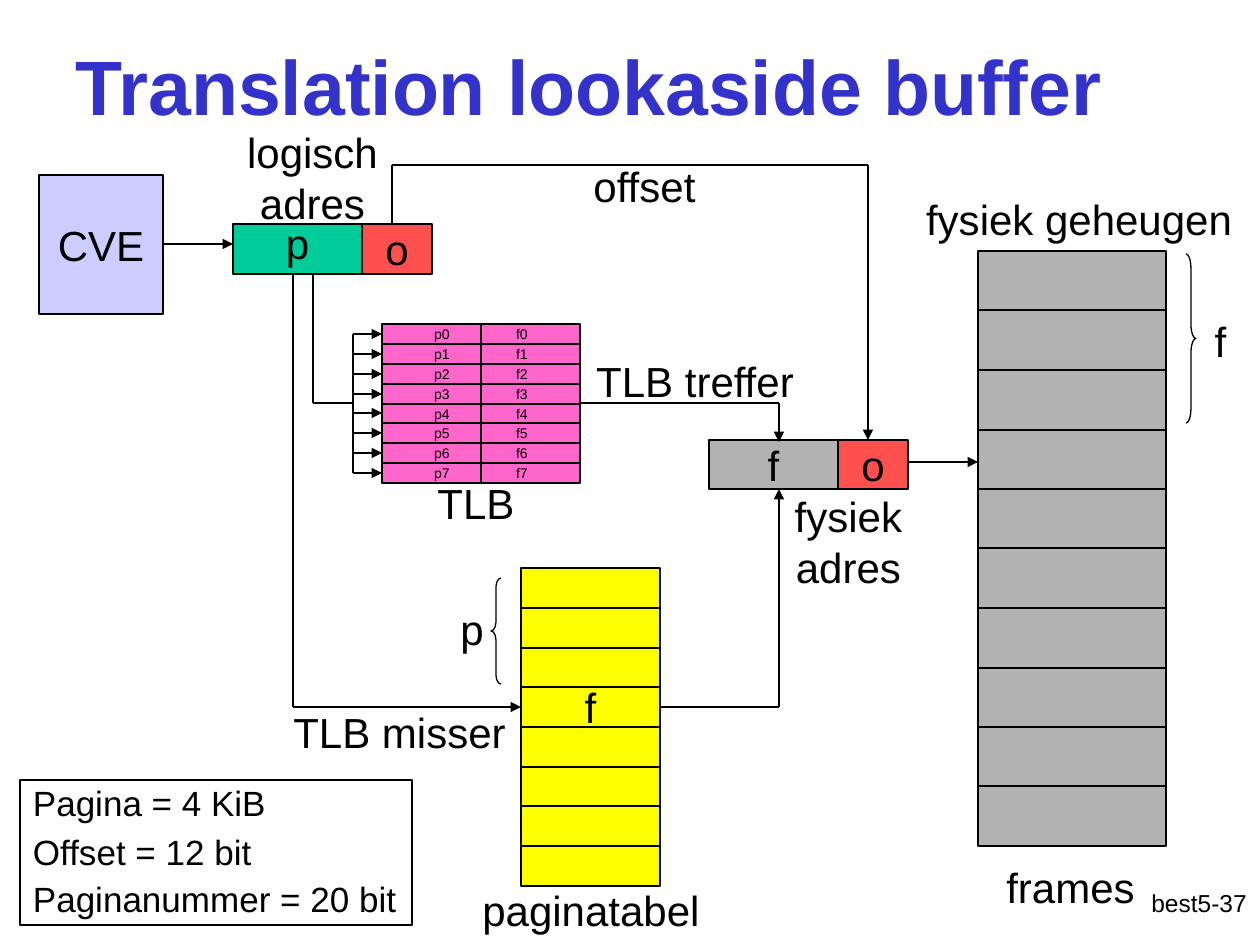
"""Build the slide that explains address translation with a translation lookaside buffer."""
from itertools import pairwise

from lxml.etree import SubElement
from pptx import Presentation
from pptx.dml.color import RGBColor
from pptx.enum.shapes import MSO_CONNECTOR, MSO_SHAPE
from pptx.enum.text import MSO_ANCHOR, PP_ALIGN
from pptx.oxml.ns import qn
from pptx.util import Pt

PX = 914400 / 126
FONT = "Arial"
COLORS = {
    "title": "3333CC", "ink": "000000", "cpu": "CCCCFF", "page": "00CC99",
    "offset": "FF5050", "frame": "B2B2B2", "pagetable": "FFFF00", "tlb": "FF66CC",
}

TITLE = ("Translation lookaside buffer", (54, 6, 1071, 158))
FOOTER = ("best5-37", (998, 882, 262, 63))
FACTS = (
    (("Pagina = 4 KiB", 0.9), ("Offset = 12 bit", 0.6), ("Paginanummer = 20 bit", 0.6)),
    (20, 780, 392, 145),
)
STACKS = [
    ((978, 251, 188, 595), "frame", [""] * 10),
    ((521, 568, 139, 318), "pagetable", ["", "", "", "f", "", "", "", ""]),
]
BOXES = [
    ("CVE", (39, 175, 124, 139), "cpu", 1),
    ("p", (233, 224, 129, 50), "page", 0.7),
    ("o", (362, 224, 70, 50), "offset", 1),
    ("f", (709, 440, 129, 49), "frame", 1),
    ("o", (838, 440, 70, 49), "offset", 1),
]
TLB = (382, 324, 198, 159)
TLB_ENTRIES = [(f"p{i}", f"f{i}") for i in range(8)]
TLB_INDENT, TLB_TAB = 52, 82
TLB_BUS = 353
ARROWS = [
    [(908, 462), (978, 462)],
    [(163, 244), (233, 244)],
    [(293, 274), (293, 707), (521, 707)],
    [(660, 707), (779, 707), (779, 489)],
    [(392, 224), (392, 165), (868, 165), (868, 440)],
    [(580, 403), (779, 403), (779, 442)],
]
LINES = [
    [(313, 274), (313, 403), (TLB_BUS, 403)],
    [(481, 324), (481, 483)],
]
LABELS = [
    ("offset", (461, 155, 367, 63)),
    ("paginatabel", (432, 879, 318, 63)),
    ("frames", (927, 856, 287, 63)),
    ("fysiek geheugen", (898, 188, 362, 63)),
    ("p", (422, 598, 100, 63)),
    ("logisch adres", (213, 121, 199, 113)),
    ("fysiek adres", (759, 485, 179, 113)),
    ("f", (1176, 310, 89, 63)),
    ("TLB treffer", (571, 350, 248, 63)),
    ("TLB misser", (233, 701, 333, 63)),
    ("TLB", (362, 472, 228, 63)),
]
BRACES = [
    (MSO_SHAPE.LEFT_BRACE, (491, 578, 10, 106)),
    (MSO_SHAPE.RIGHT_BRACE, (1186, 254, 10, 169)),
]


def emu(*lengths):
    return [round(length * PX) for length in lengths]


def color(name):
    return RGBColor.from_string(COLORS[name])


def write(frame, text, *, size=24, ink="ink", bold=False, align=PP_ALIGN.CENTER,
          anchor=MSO_ANCHOR.TOP, wrap=True, spacing=1, before=0, left=13, more=False):
    frame.word_wrap = wrap
    frame.vertical_anchor = anchor
    frame.margin_left, frame.margin_top, frame.margin_right, frame.margin_bottom = emu(left, 6, 13, 6)
    paragraph = frame.add_paragraph() if more else frame.paragraphs[0]
    paragraph.alignment = align
    paragraph.line_spacing = spacing
    paragraph.space_before = Pt(before)
    run = paragraph.add_run()
    run.text = text
    run.font.name, run.font.size, run.font.bold = FONT, Pt(size), bold
    run.font.color.rgb = color(ink)
    return paragraph


def add_outline(slide, kind, place, fill=None):
    shape = slide.shapes.add_shape(kind, *emu(*place))
    shape.shadow.inherit = False
    if fill:
        shape.fill.solid()
        shape.fill.fore_color.rgb = color(fill)
    else:
        shape.fill.background()
    shape.line.color.rgb = color("ink")
    shape.line.width = Pt(0.75)
    return shape


def add_box(slide, text, place, fill, **style):
    box = add_outline(slide, MSO_SHAPE.RECTANGLE, place, fill)
    if text:
        style = {"anchor": MSO_ANCHOR.MIDDLE, "wrap": False} | style
        return write(box.text_frame, text, **style)


def add_label(slide, text, place, **style):
    write(slide.shapes.add_textbox(*emu(*place)).text_frame, text, **style)


def add_route(slide, points, arrow=False):
    for start, end in pairwise(points):
        segment = slide.shapes.add_connector(MSO_CONNECTOR.STRAIGHT, *emu(*start, *end))
        segment.line.color.rgb = color("ink")
        segment.line.width = Pt(0.75)
        if arrow and end == points[-1]:
            SubElement(segment.line._get_or_add_ln(), qn("a:tailEnd"), type="triangle")
        SubElement(segment._element.spPr, qn("a:effectLst"))


def split_rows(place, count):
    left, top, width, height = place
    edges = [round(top + i * height / count) for i in range(count + 1)]
    return [(left, upper, width, lower - upper) for upper, lower in pairwise(edges)]


def add_tlb(slide):
    centers = []
    for entry, row in zip(TLB_ENTRIES, split_rows(TLB, len(TLB_ENTRIES))):
        paragraph = add_box(slide, "\t".join(entry), row, "tlb", size=8, wrap=True,
                            align=PP_ALIGN.LEFT, left=TLB_INDENT)
        tabs = SubElement(paragraph._p.get_or_add_pPr(), qn("a:tabLst"))
        SubElement(tabs, qn("a:tab"), pos=str(emu(TLB_TAB)[0]), algn="l")
        centers.append(row[1] + row[3] // 2)
    for center in centers:
        add_route(slide, [(TLB_BUS, center), (TLB[0], center)], arrow=True)
    add_route(slide, [(TLB_BUS, centers[0]), (TLB_BUS, centers[-1])])


def main():
    deck = Presentation()
    deck.slide_width, deck.slide_height = emu(1260, 945)
    slide = deck.slides.add_slide(deck.slide_layouts[5])

    text, place = TITLE
    title = slide.shapes.title
    title.left, title.top, title.width, title.height = emu(*place)
    write(title.text_frame, text, size=44, ink="title", bold=True, anchor=MSO_ANCHOR.MIDDLE)
    add_label(slide, *FOOTER, size=14, align=PP_ALIGN.RIGHT)

    for place, fill, texts in STACKS:
        for text, row in zip(texts, split_rows(place, len(texts))):
            add_box(slide, text, row, fill)
    for text, place, fill, spacing in BOXES:
        add_box(slide, text, place, fill, spacing=spacing)
    add_tlb(slide)
    for points in ARROWS:
        add_route(slide, points, arrow=True)
    for points in LINES:
        add_route(slide, points)
    for kind, place in BRACES:
        brace = add_outline(slide, kind, place)
        brace.adjustments[0] = place[3] / place[2] / 12
    for text, place in LABELS:
        add_label(slide, text, place, before=15)

    facts, place = FACTS
    frame = add_outline(slide, MSO_SHAPE.RECTANGLE, place).text_frame
    for index, (text, spacing) in enumerate(facts):
        write(frame, text, size=20, align=PP_ALIGN.LEFT, spacing=spacing, before=12.5, more=index > 0)

    deck.save("out.pptx")


if __name__ == "__main__":
    main()
